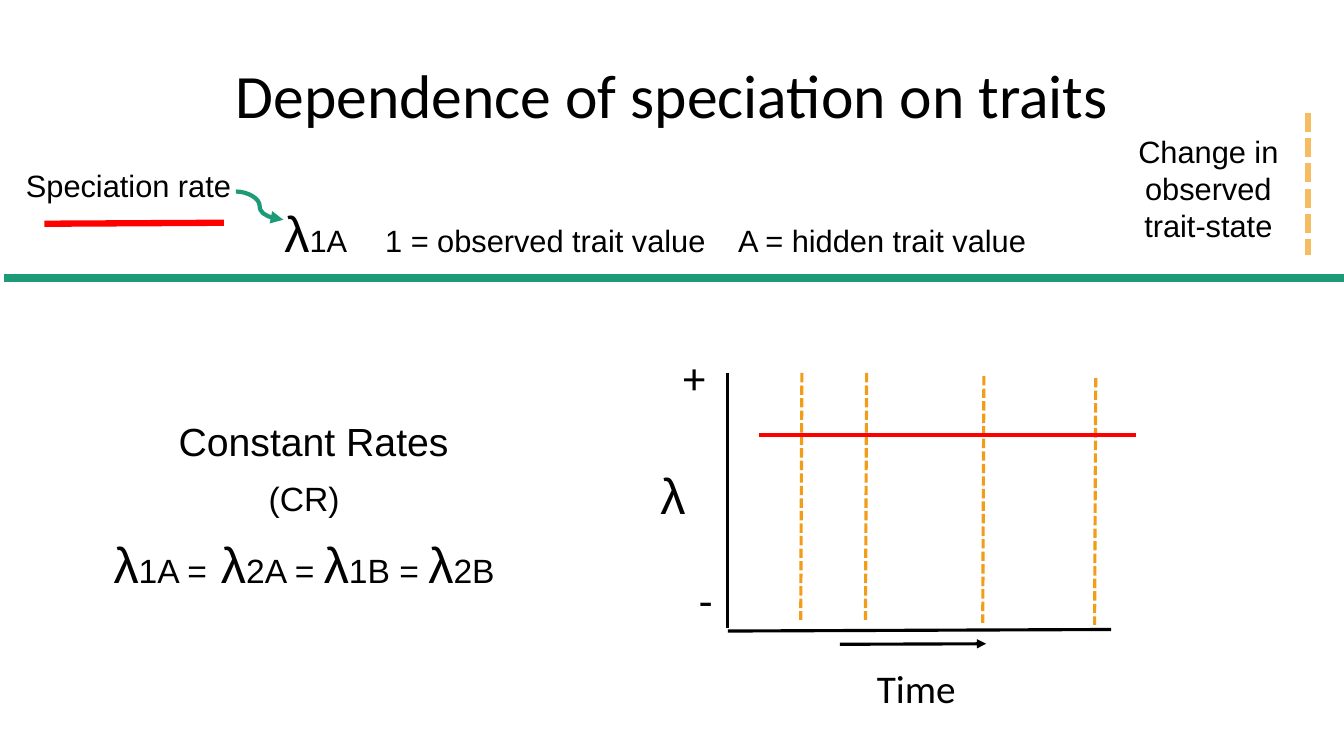
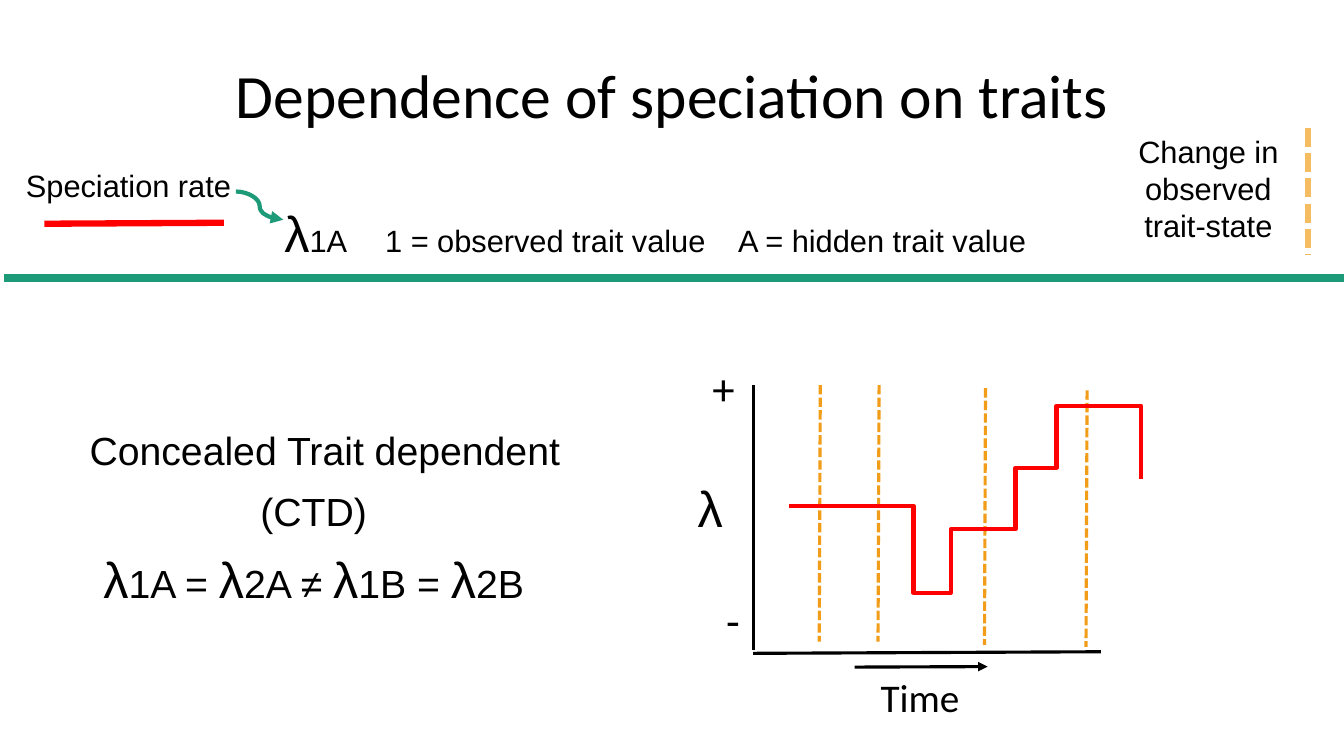
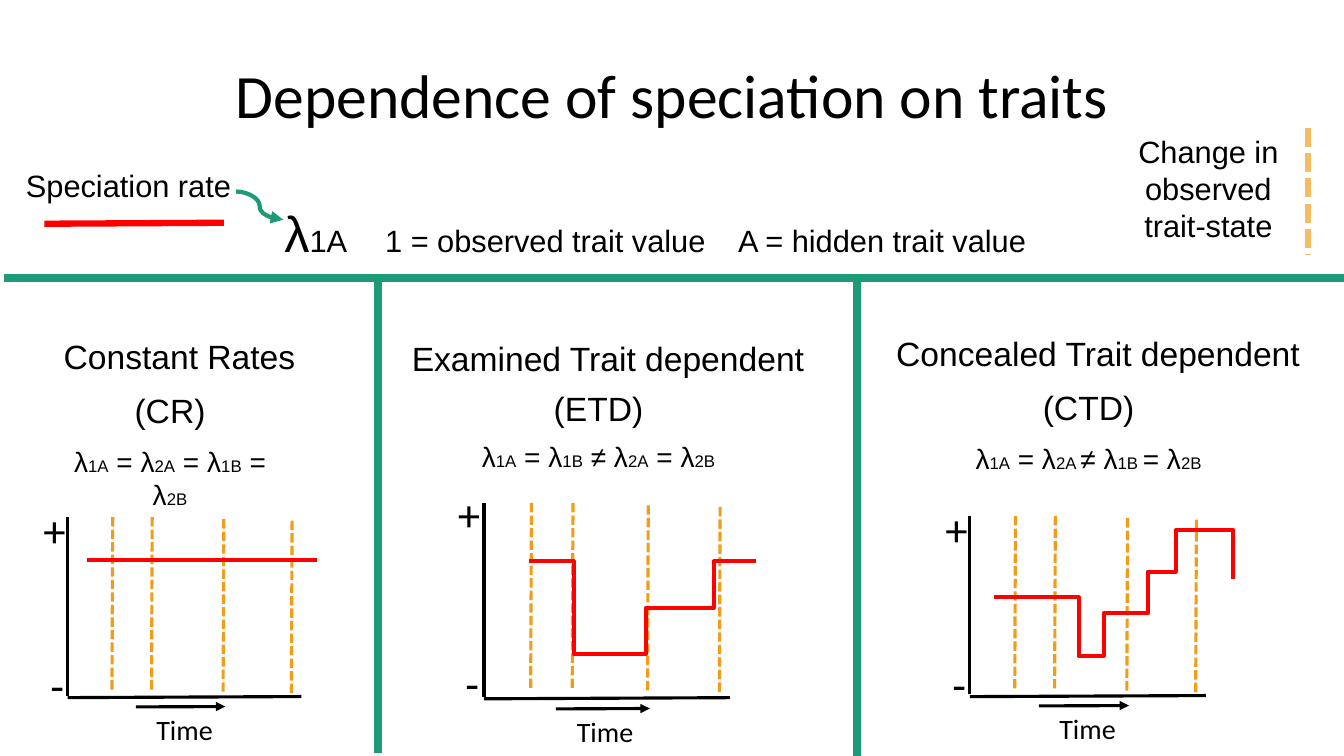
import pptx
import pptx.util
import pptx.dml.color
import pptx.enum.dml
import pptx.enum.shapes
import pptx.enum.text
import pptx.oxml
import pptx.oxml.ns

Inches = pptx.util.Inches
Pt = pptx.util.Pt
ALIGN = pptx.enum.text.PP_ALIGN
LINK = pptx.enum.shapes.MSO_CONNECTOR

COLORS = {"ink": "000000", "band": "1D9A78", "rate": "FF0000",
          "shift": "F19D19", "key": "F6BC61"}
TITLE = "Dependence of speciation on traits"
KEY = [("λ", 36), ("1A\t1 = observed trait value\tA = hidden trait value", 22)]
TABS = (1.08, 4.78)

# Plot marks in percent of the axis lengths, from the top of the y axis.
SHIFTS = [(19.3, 0), (36.2, 0), (66.8, 1.2), (96, 2)]
RATES = {
    "CR": [(8.2, 24.2), (106.6, 24.2)],
    "ETD": [(18.4, 30.2), (36.5, 30.2), (36.5, 78.1), (66, 78.1),
            (66, 54.2), (93.4, 54.2), (93.4, 30.2), (110.7, 30.2)],
    "CTD": [(10.4, 45.6), (46.1, 45.6), (46.1, 78.3), (56.8, 78.3),
            (56.8, 54.4), (75.4, 54.4), (75.4, 31.2), (87.2, 31.2),
            (87.2, 7.8), (111.5, 7.8), (111.5, 35.4)],
}
NAMES = {"CR": "Constant Rates", "ETD": "Examined Trait dependent",
         "CTD": "Concealed Trait dependent"}

# In a formula, "|" switches between the two formula sizes.
# plot: left, top, width, height of the axes; time: left, top of its label.
SLIDES = [
    {"key_top": 1.12, "dividers": [], "lambda": (6.45, 4.56), "models": [
        {"model": "CR", "box": (0.96, 4.09, 4.3, 1.98), "sizes": (28, 24),
         "formula": "λ|1A =| λ|2A = |λ|1B = |λ|2B", "terms": (36, 24),
         "plot": (7.22, 3.7, 3.8, 2.53), "time": (36.3, 112.3, 28)}]},
    {"key_top": 1.27, "dividers": [], "lambda": (6.82, 4.68), "models": [
        {"model": "CTD", "box": (0.14, 4.18, 6.16, 2.25), "sizes": (28, 28),
         "formula": "λ|1A = |λ|2A ≠ |λ|1B = |λ|2B", "terms": (36, 28),
         "plot": (7.47, 3.82, 3.45, 2.63), "time": (33.8, 106.8, 28)}]},
    {"key_top": 1.27, "dividers": [(3.75, 7.47), (8.5, 7.5)], "models": [
        {"model": "CR", "box": (0.45, 3.28, 2.66, 1.81), "sizes": (24, 24),
         "formula": "λ|1A| = λ|2A| = λ|1B| = λ|2B", "terms": (20, 12),
         "plot": (0.67, 5.13, 2.32, 1.77), "time": (33.7, 106.8, 20)},
        {"model": "ETD", "box": (3.83, 3.35, 4.4, 1.44), "sizes": (24, 24),
         "formula": "λ|1A| = λ|1B| ≠ λ|2A| = λ|2B", "terms": (20, 12),
         "plot": (4.8, 4.99, 2.44, 1.92), "time": (33.7, 106.8, 20),
         "spacing": 0.9},
        {"model": "CTD", "box": (8.69, 3.25, 4.4, 1.54), "sizes": (24, 24),
         "formula": "λ|1A| = λ|2A |≠ λ|1B |= λ|2B", "terms": (20, 12),
         "plot": (9.62, 5.12, 2.34, 1.77), "time": (33.7, 106.8, 20)}]},
]


def rgb(name):
    return pptx.dml.color.RGBColor.from_string(COLORS[name])


def put(para, runs, font="Arial"):
    """Add (text, size) runs to a paragraph."""
    for text, size in runs:
        run = para.add_run()
        run.text = text
        run.font.size = Pt(size)
        run.font.name = font
        run.font.color.rgb = rgb("ink")


def place(shape, left, top, width, height):
    shape.left, shape.top = Inches(left), Inches(top)
    shape.width, shape.height = Inches(width), Inches(height)


def label(shapes, at, text, size, font="Arial", align=ALIGN.CENTER):
    box = shapes.add_textbox(*map(Inches, at))
    box.text_frame.word_wrap = True
    para = box.text_frame.paragraphs[0]
    para.alignment = align
    put(para, [(text, size)], font)


def stroke(shapes, start, end, color, width, dash=False, arrow=False,
           kind=LINK.STRAIGHT):
    line = shapes.add_connector(kind, *map(Inches, (*start, *end)))
    line.line.color.rgb = rgb(color)
    line.line.width = Pt(width)
    if dash:
        line.line.dash_style = pptx.enum.dml.MSO_LINE.SQUARE_DOT
    if arrow:
        head = pptx.oxml.ns.qn("a:tailEnd")
        line.line._get_or_add_ln().makeelement(head)
        tip = pptx.oxml.parse_xml(
            f'<a:tailEnd {pptx.oxml.ns.nsdecls("a")} type="triangle"/>')
        line.line._get_or_add_ln().append(tip)
    none = pptx.oxml.parse_xml(
        f'<a:effectLst {pptx.oxml.ns.nsdecls("a")}/>')
    line._element.spPr.append(none)


def steps(shapes, points):
    """Draw the rate as one stepped outline."""
    first, *rest = [tuple(map(Inches, point)) for point in points]
    pen = shapes.build_freeform(*first)
    pen.add_line_segments(rest, close=False)
    shape = pen.convert_to_shape()
    shape.shadow.inherit = False
    shape.fill.background()
    shape.line.color.rgb = rgb("rate")
    shape.line.width = Pt(3)


def header(slide, key_top):
    """Fill the title, the notation line and the legend above the band."""
    title, body = slide.placeholders
    place(title, 0.92, 0.25, 11.5, 1.45)
    place(body, 2.72, 1.35, 8.4, 1.42)
    for holder in (title, body):
        holder.text_frame.auto_size = pptx.enum.text.MSO_AUTO_SIZE.NONE
    title.text_frame.vertical_anchor = pptx.enum.text.MSO_ANCHOR.MIDDLE
    para = title.text_frame.paragraphs[0]
    para.alignment = ALIGN.CENTER
    para.line_spacing = 0.9
    put(para, [(TITLE, 44)], "Calibri")

    para = body.text_frame.paragraphs[0]
    props = para._p.get_or_add_pPr()
    props.set("marL", "0")
    props.set("indent", "0")
    space = pptx.oxml.ns.nsdecls("a")
    stops = "".join(f'<a:tab pos="{Inches(tab)}" algn="l"/>' for tab in TABS)
    for xml in (f"<a:buNone {space}/>",
                f"<a:tabLst {space}>{stops}</a:tabLst>"):
        props.append(pptx.oxml.parse_xml(xml))
    para.alignment = ALIGN.LEFT
    para.line_spacing = 2.0
    para.space_before = Pt(0)
    put(para, KEY)

    shapes = slide.shapes
    stroke(shapes, (0.04, 2.76), (13.33, 2.76), "band", 6)
    label(shapes, (-0.09, 1.61, 2.73, 0.47), "Speciation rate", 22)
    stroke(shapes, (2.34, 1.9), (2.81, 2.18), "band", 3, arrow=True,
           kind=LINK.CURVE)
    stroke(shapes, (0.44, 2.22), (2.22, 2.21), "rate", 4.5)
    label(shapes, (11.12, 1.27, 1.73, 1.21),
          "Change in observed trait-state", 22)
    stroke(shapes, (12.97, key_top), (12.97, 2.53), "key", 4.5, dash=True)


def caption(shapes, item):
    """Write the model's name, short name and formula."""
    box = shapes.add_textbox(*map(Inches, item["box"]))
    frame = box.text_frame
    frame.word_wrap = True
    big, small = item["sizes"]
    terms = [(text, item["terms"][i % 2])
             for i, text in enumerate(item["formula"].split("|"))]
    rows = [[(NAMES[item["model"]], big)],
            [(f"({item['model']})", small)], terms]
    for i, runs in enumerate(rows):
        para = frame.add_paragraph() if i else frame.paragraphs[0]
        para.alignment = ALIGN.CENTER
        para.space_before = Pt(10 if i else 0)
        para.line_spacing = item.get("spacing", 1.0)
        put(para, runs)
    short = frame.paragraphs[1]._p.get_or_add_pPr()
    short.set("marR", str(Pt(small * 0.56)))


def plot(shapes, item):
    """Draw the axes, trait shifts and rate of one model."""
    left, top, wide, high = item["plot"]

    def spot(x, y):
        return left + wide * x / 100, top + high * y / 100

    stroke(shapes, spot(0, 0), spot(0, 100), "ink", 2.25)
    stroke(shapes, spot(100, 100.6), spot(0, 101.2), "ink", 2.25)
    for x, y in SHIFTS:
        stroke(shapes, spot(x, y), spot(x - 0.3, y + 96.8), "shift", 2.25,
               dash=True)
    stroke(shapes, spot(29.2, 106.4), spot(67.4, 106.2), "ink", 2.25,
           arrow=True)
    x, y, size = item["time"]
    label(shapes, (*spot(x, y), wide / 2, size / 50), "Time", size,
          "Calibri", ALIGN.LEFT)
    for sign, x, y in (("-", -11.6, 76.3), ("+", -14.6, -11)):
        label(shapes, (*spot(x, y), wide * 0.116, high * 0.39), sign, 32,
              "Calibri")
    points = [spot(*point) for point in RATES[item["model"]]]
    if len(points) == 2:
        stroke(shapes, *points, "rate", 3)
    else:
        steps(shapes, points)


def main():
    deck = pptx.Presentation()
    deck.slide_width, deck.slide_height = Inches(13.33), Inches(7.5)
    for page in SLIDES:
        slide = deck.slides.add_slide(deck.slide_layouts[1])
        header(slide, page["key_top"])
        for x, end in page["dividers"]:
            stroke(slide.shapes, (x, 2.76), (x, end), "band", 6)
        for item in page["models"]:
            plot(slide.shapes.add_group_shape().shapes, item)
            caption(slide.shapes, item)
        if "lambda" in page:
            label(slide.shapes, (*page["lambda"], 0.79, 0.71), "λ", 36,
                  align=ALIGN.LEFT)
    deck.save("out.pptx")


if __name__ == "__main__":
    main()
